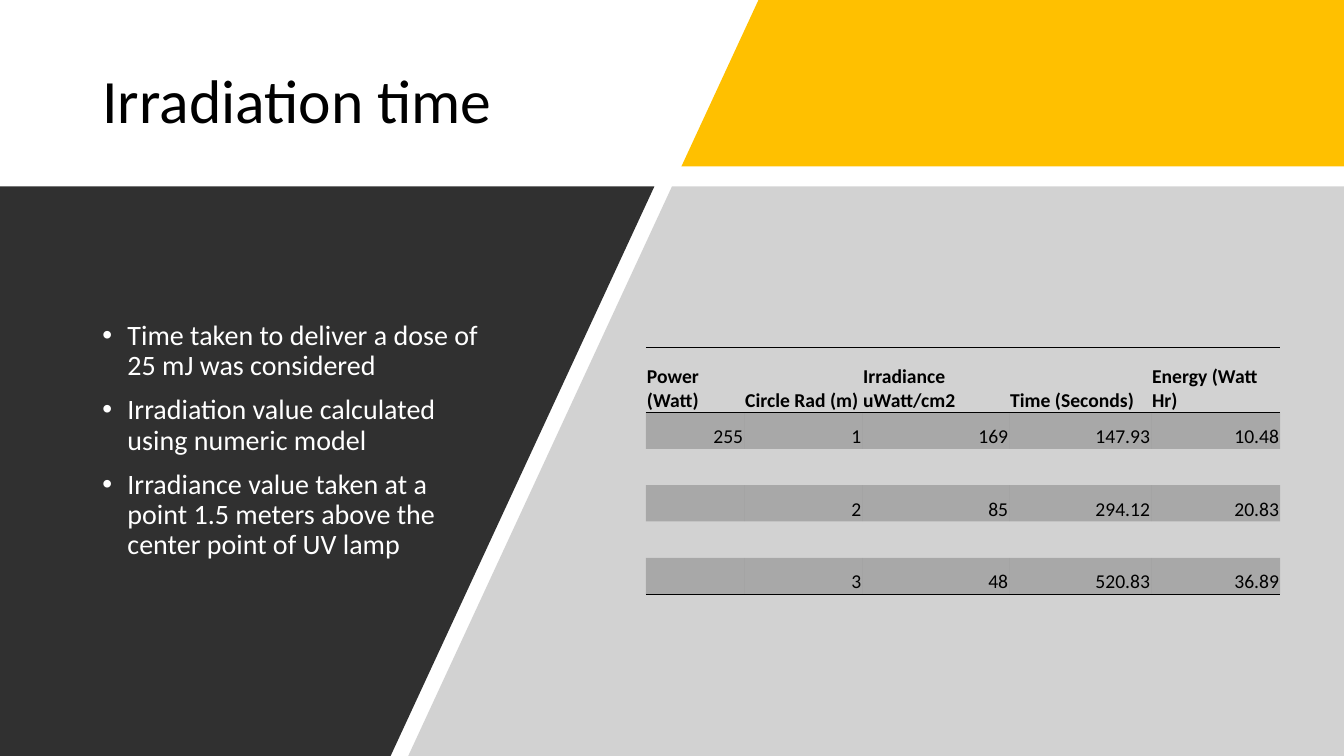
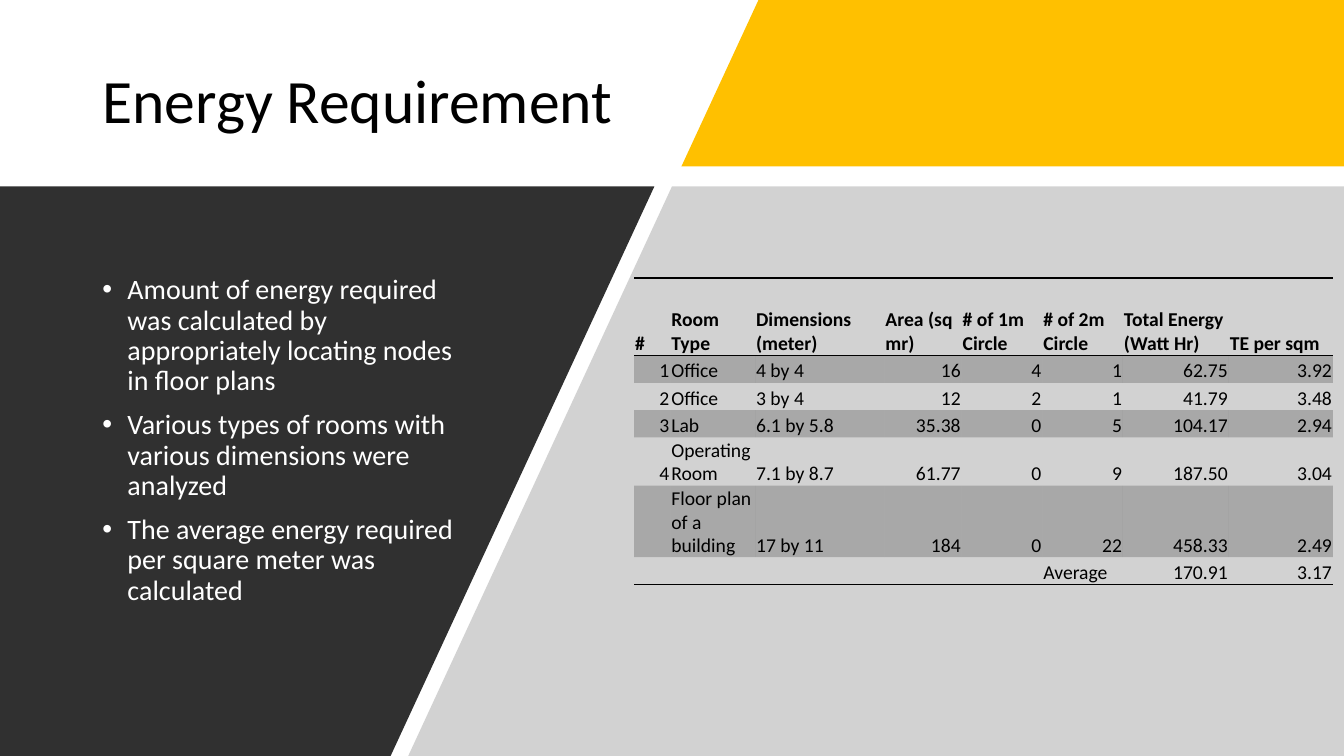
import dataclasses

import lxml.etree
import pptx
import pptx.dml.color
import pptx.dml.fill
import pptx.enum.text
import pptx.oxml.ns
import pptx.presentation
import pptx.slide
import pptx.table
import pptx.text.text
import pptx.util

BLACK = pptx.dml.color.RGBColor(0x00, 0x00, 0x00)
WHITE = pptx.dml.color.RGBColor(0xFF, 0xFF, 0xFF)
GOLD = pptx.dml.color.RGBColor(0xFF, 0xC0, 0x00)
GRAY = pptx.dml.color.RGBColor(0xA6, 0xA6, 0xA6)
CHARCOAL = pptx.dml.color.RGBColor(0x30, 0x30, 0x30)

FONT = "Calibri"
TITLE_SIZE = 44
BULLET_SIZE = 20
TABLE_SIZE = 14
LINE_SPACING = 0.9
SHADE_OPACITY = 20
TITLE_ONLY = 5
NO_STYLE = "{2D5ABB26-0587-4C30-8999-92F81FD0307C}"

UNITS_PER_INCH = 12
COLUMNS = 160
ROWS = 90
HEADER_BOTTOM = 19.8
BODY_TOP = 22.2
SLANT = 31.4 / 67.8


@dataclasses.dataclass(frozen=True)
class Area:
    left: float
    top: float
    width: float
    height: float


@dataclasses.dataclass(frozen=True)
class Band:
    slant_start: float
    edge: float
    top: float
    bottom: float
    color: pptx.dml.color.RGBColor
    opacity: int = 100


@dataclasses.dataclass(frozen=True)
class Grid:
    left: float
    top: float
    widths: list[float]
    heights: list[float]
    texts: list[list[str]]


@dataclasses.dataclass(frozen=True)
class Topic:
    title: str
    bullets: list[str]
    grid: Grid


TITLE_AREA = Area(11, 4.8, 70.1, 15)
BULLET_AREA = Area(11, 28.6, 47.3, 47.8)

BANDS = [
    Band(90.3, COLUMNS, 0, HEADER_BOTTOM, GOLD),
    Band(80, COLUMNS, BODY_TOP, ROWS, GRAY, 50),
    Band(77.9, 0, BODY_TOP, ROWS, CHARCOAL),
]

TOPICS = [
    Topic(
        "Irradiation time",
        [
            "Time taken to deliver a dose of 25 mJ was considered",
            "Irradiation value calculated using numeric model",
            "Irradiance value taken at a point 1.5 meters above the center point of UV lamp",
        ],
        Grid(
            76.9,
            41.4,
            [11.7, 14.05, 17.5, 16.9, 15.35],
            [7.7] + [4.33] * 5,
            [
                ["Power (Watt)", "Circle Rad (m)", "Irradiance uWatt/cm2", "Time (Seconds)", "Energy (Watt Hr)"],
                ["255", "1", "169", "147.93", "10.48"],
                [""] * 5,
                ["", "2", "85", "294.12", "20.83"],
                [""] * 5,
                ["", "3", "48", "520.83", "36.89"],
            ],
        ),
    ),
    Topic(
        "Energy Requirement",
        [
            "Amount of energy required was calculated by appropriately locating nodes in floor plans",
            "Various types of rooms with various dimensions were analyzed",
            "The average energy required per square meter was calculated",
        ],
        Grid(
            75.5,
            33.1,
            [4.3, 10.1, 15.4, 9.2, 9.6, 9.6, 12.6, 12.4],
            [9.25, 3.25, 3.25, 3.25, 4.9, 6.5, 3.25],
            [
                [
                    "#", "Room Type", "Dimensions (meter)", "Area (sq mr)",
                    "# of 1m Circle", "# of 2m Circle", "Total Energy (Watt Hr)", "TE per sqm",
                ],
                ["1", "Office", "4 by 4", "16", "4", "1", "62.75", "3.92"],
                ["2", "Office", "3 by 4", "12", "2", "1", "41.79", "3.48"],
                ["3", "Lab", "6.1 by 5.8", "35.38", "0", "5", "104.17", "2.94"],
                ["4", "Operating Room", "7.1 by 8.7", "61.77", "0", "9", "187.50", "3.04"],
                ["", "Floor plan of a building", "17 by 11", "184", "0", "22", "458.33", "2.49"],
                ["", "", "", "", "", "Average", "170.91", "3.17"],
            ],
        ),
    ),
]


def units(count: float) -> pptx.util.Emu:
    return pptx.util.Emu(round(count * pptx.util.Inches(1) / UNITS_PER_INCH))


def add_child(parent: lxml.etree.ElementBase, tag: str, **attributes: str) -> lxml.etree.ElementBase:
    return lxml.etree.SubElement(parent, pptx.oxml.ns.qn(tag), attributes)


def paint(
    fill: pptx.dml.fill.FillFormat,
    owner: lxml.etree.ElementBase,
    color: pptx.dml.color.RGBColor,
    opacity: int,
) -> None:
    fill.solid()
    fill.fore_color.rgb = color
    if opacity < 100:
        tint = owner.find(pptx.oxml.ns.qn("a:solidFill"))[0]
        add_child(tint, "a:alpha", val=str(opacity * 1000))


def add_span(
    para: pptx.text.text._Paragraph,
    text: str,
    size: int,
    color: pptx.dml.color.RGBColor,
    bold: bool = False,
) -> None:
    span = para.add_run()
    span.text = text
    span.font.name = FONT
    span.font.size = pptx.util.Pt(size)
    span.font.bold = bold
    span.font.color.rgb = color


def write_title(page: pptx.slide.Slide, text: str) -> None:
    title = page.shapes.title
    title.left, title.top, title.width, title.height = map(units, dataclasses.astuple(TITLE_AREA))
    title.text_frame.vertical_anchor = pptx.enum.text.MSO_ANCHOR.MIDDLE
    para = title.text_frame.paragraphs[0]
    para.alignment = pptx.enum.text.PP_ALIGN.LEFT
    para.line_spacing = LINE_SPACING
    add_span(para, text, TITLE_SIZE, BLACK)


def draw_band(page: pptx.slide.Slide, band: Band) -> None:
    slant_end = band.slant_start - SLANT * (band.bottom - band.top)
    corners = [(band.edge, band.top), (band.edge, band.bottom), (slant_end, band.bottom)]
    builder = page.shapes.build_freeform(units(band.slant_start), units(band.top))
    builder.add_line_segments([(units(x), units(y)) for x, y in corners], close=True)
    shape = builder.convert_to_shape()
    paint(shape.fill, shape._element.spPr, band.color, band.opacity)
    shape.line.fill.background()
    shape.shadow.inherit = False


def write_bullets(page: pptx.slide.Slide, bullets: list[str]) -> None:
    box = page.shapes.add_textbox(*map(units, dataclasses.astuple(BULLET_AREA)))
    frame = box.text_frame
    frame.word_wrap = True
    frame.vertical_anchor = pptx.enum.text.MSO_ANCHOR.MIDDLE
    indent = pptx.util.Inches(0.25)
    for index, text in enumerate(bullets):
        para = frame.add_paragraph() if index else frame.paragraphs[0]
        para.line_spacing = LINE_SPACING
        para.space_before = pptx.util.Pt(10)
        properties = para._p.get_or_add_pPr()
        properties.set("marL", str(indent))
        properties.set("indent", str(-indent))
        add_child(properties, "a:buFont", typeface="Arial")
        add_child(properties, "a:buChar", char="•")
        add_span(para, text, BULLET_SIZE, WHITE)


def add_border(cell: pptx.table._Cell, tag: str, position: int) -> None:
    properties = cell._tc.get_or_add_tcPr()
    border = add_child(properties, tag, w=str(pptx.util.Pt(1)))
    add_child(add_child(border, "a:solidFill"), "a:srgbClr", val=str(BLACK))
    properties.insert(position, border)


def write_cell(cell: pptx.table._Cell, text: str, header: bool, shaded: bool) -> None:
    cell.margin_left = cell.margin_right = cell.margin_top = pptx.util.Inches(0.01)
    cell.margin_bottom = 0
    cell.vertical_anchor = pptx.enum.text.MSO_ANCHOR.BOTTOM
    if shaded:
        paint(cell.fill, cell._tc.get_or_add_tcPr(), BLACK, SHADE_OPACITY)
    else:
        cell.fill.background()
    para = cell.text_frame.paragraphs[0]
    if not text:
        add_child(para._p, "a:endParaRPr", sz=str(TABLE_SIZE * 100))
        return
    if text.replace(".", "").isdigit():
        para.alignment = pptx.enum.text.PP_ALIGN.RIGHT
    add_span(para, text, TABLE_SIZE, BLACK, header)


def draw_table(page: pptx.slide.Slide, grid: Grid) -> None:
    table = page.shapes.add_table(
        len(grid.heights),
        len(grid.widths),
        units(grid.left),
        units(grid.top),
        units(sum(grid.widths)),
        units(sum(grid.heights)),
    ).table
    table.first_row = table.horz_banding = False
    table._tbl.tblPr.find(pptx.oxml.ns.qn("a:tableStyleId")).text = NO_STYLE
    for column, width in zip(table.columns, grid.widths):
        column.width = units(width)
    last = len(grid.heights) - 1
    for number, (row, height, texts) in enumerate(zip(table.rows, grid.heights, grid.texts)):
        row.height = units(height)
        for cell, text in zip(row.cells, texts):
            write_cell(cell, text, number == 0, number % 2 == 1)
            if number in (0, last):
                add_border(cell, "a:lnB", 0)
            if number == 0:
                add_border(cell, "a:lnT", 0)


def build_page(deck: pptx.presentation.Presentation, topic: Topic) -> None:
    page = deck.slides.add_slide(deck.slide_layouts[TITLE_ONLY])
    write_title(page, topic.title)
    for band in BANDS:
        draw_band(page, band)
    write_bullets(page, topic.bullets)
    draw_table(page, topic.grid)


def main() -> None:
    deck = pptx.Presentation()
    deck.slide_width = units(COLUMNS)
    deck.slide_height = units(ROWS)
    for topic in TOPICS:
        build_page(deck, topic)
    deck.save("out.pptx")


if __name__ == "__main__":
    main()
